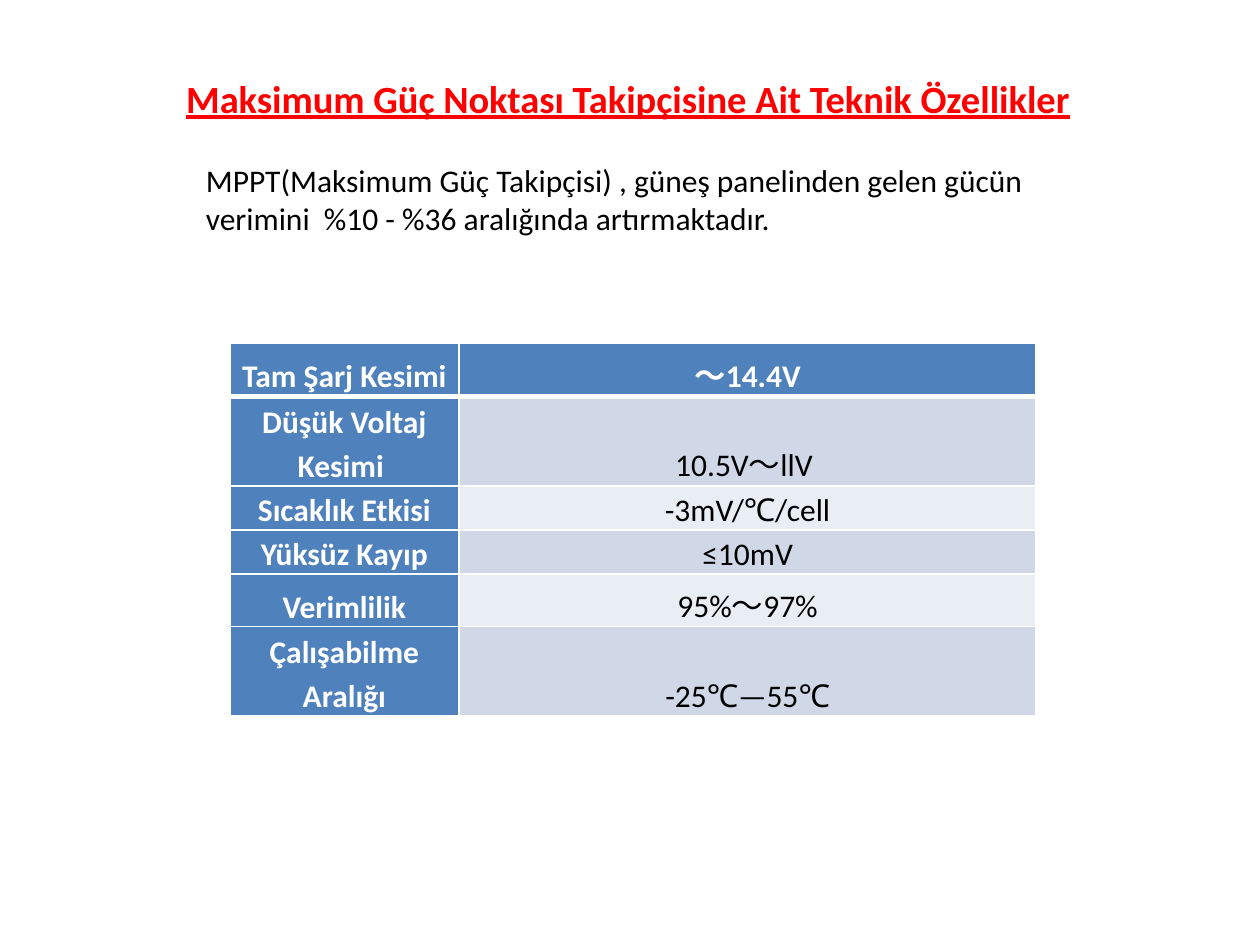
"""Build a slide with the technical specifications of a maximum power point tracker."""
from dataclasses import dataclass

from lxml.etree import SubElement
from pptx import Presentation
from pptx.dml.color import RGBColor
from pptx.enum.text import MSO_ANCHOR as Anchor, MSO_AUTO_SIZE as AutoSize, PP_ALIGN as Align
from pptx.oxml.ns import qn
from pptx.util import Pt

FONT = "Calibri"
WHITE, BLACK, RED, BLUE = "FFFFFF", "000000", "FF0000", "4F81BD"
BANDS = ("E9EDF4", "D0D8E8")
SINGLE, TALL, DOUBLE = 25.2, 30, 51.2


@dataclass
class Spec:
    """One table row: label, value and height in points."""
    label: str
    value: str
    height: float


SPECS = [
    Spec("Tam Şarj Kesimi", "～14.4V", TALL),
    Spec("Düşük Voltaj Kesimi ", "10.5V～llV ", DOUBLE),
    Spec("Sıcaklık Etkisi", "-3mV/℃/cell", SINGLE),
    Spec("Yüksüz Kayıp", "≤10mV", SINGLE),
    Spec("Verimlilik", "95%～97%", TALL),
    Spec("Çalışabilme Aralığı", "-25℃—55℃", DOUBLE),
]
COLUMN_WIDTHS = (131, 329.8)


def rgb(color: str) -> RGBColor:
    """Turn a hex string into a colour."""
    return RGBColor.from_string(color)


def format_text(frame, size: float, color: str, bold: bool = False, underline: bool = False) -> None:
    """Format every run of a text frame."""
    for para in frame.paragraphs:
        for span in para.runs:
            font = span.font
            font.name, font.size, font.bold = FONT, Pt(size), bold
            font.underline = underline
            font.color.rgb = rgb(color)


def add_border(cell, side: str, width: float) -> None:
    """Draw a white line on one side of a cell."""
    properties = cell._tc.get_or_add_tcPr()
    line = SubElement(properties, qn(f"a:ln{side}"), w=str(int(Pt(width))))
    fill = SubElement(line, qn("a:solidFill"))
    SubElement(fill, qn("a:srgbClr"), val=WHITE)


def fill_cell(cell, text: str, row: int, column: int) -> None:
    """Write and format one table cell."""
    is_heading = row == 0 or column == 0
    widths = {"L": 1, "R": 1, "T": 3 if row == 1 else 1, "B": 3 if row == 0 else 1}
    for side, width in widths.items():
        add_border(cell, side, width)
    cell.fill.solid()
    cell.fill.fore_color.rgb = rgb(BLUE if is_heading else BANDS[row % 2])
    cell.margin_left = cell.margin_right = cell.margin_top = cell.margin_bottom = 0
    cell.vertical_anchor = Anchor.BOTTOM
    cell.text_frame.text = text
    para = cell.text_frame.paragraphs[0]
    para.alignment = Align.CENTER
    para.line_spacing = 1.15
    para.space_before = para.space_after = Pt(6)
    format_text(cell.text_frame, 18, WHITE if is_heading else BLACK, bold=is_heading)


def add_title(slide) -> None:
    """Place the title in its placeholder."""
    title = slide.shapes.title
    title.left, title.top, title.width, title.height = Pt(99.2), Pt(39.2), Pt(524.9), Pt(33.8)
    frame = title.text_frame
    frame.text = "Maksimum Güç Noktası Takipçisine Ait Teknik Özellikler"
    frame.word_wrap = False
    frame.auto_size = AutoSize.SHAPE_TO_FIT_TEXT
    frame.vertical_anchor = Anchor.TOP
    frame.paragraphs[0].alignment = Align.LEFT
    format_text(frame, 22, RED, bold=True, underline=True)


def add_summary(slide) -> None:
    """Add the paragraph under the title."""
    box = slide.shapes.add_textbox(Pt(110.6), Pt(88.6), Pt(499), Pt(51.1))
    frame = box.text_frame
    frame.text = ("MPPT(Maksimum Güç Takipçisi) , güneş panelinden gelen gücün "
                  "verimini  %10 - %36 aralığında artırmaktadır.")
    frame.word_wrap = True
    frame.auto_size = AutoSize.SHAPE_TO_FIT_TEXT
    format_text(frame, 18, BLACK)


def add_specs(slide) -> None:
    """Add the table of specifications."""
    height = sum(spec.height for spec in SPECS)
    table = slide.shapes.add_table(len(SPECS), len(COLUMN_WIDTHS), Pt(131.3), Pt(196.4),
                                   Pt(sum(COLUMN_WIDTHS)), Pt(height)).table
    for column, width in zip(table.columns, COLUMN_WIDTHS):
        column.width = Pt(width)
    for row, spec in enumerate(SPECS):
        table.rows[row].height = Pt(spec.height)
        for column, text in enumerate((spec.label, spec.value)):
            fill_cell(table.cell(row, column), text, row, column)


def main() -> None:
    """Build and save the deck."""
    deck = Presentation()
    deck.slide_width, deck.slide_height = Pt(720), Pt(540)
    slide = deck.slides.add_slide(deck.slide_layouts[5])
    add_specs(slide)
    add_title(slide)
    add_summary(slide)
    deck.save("out.pptx")


if __name__ == "__main__":
    main()
